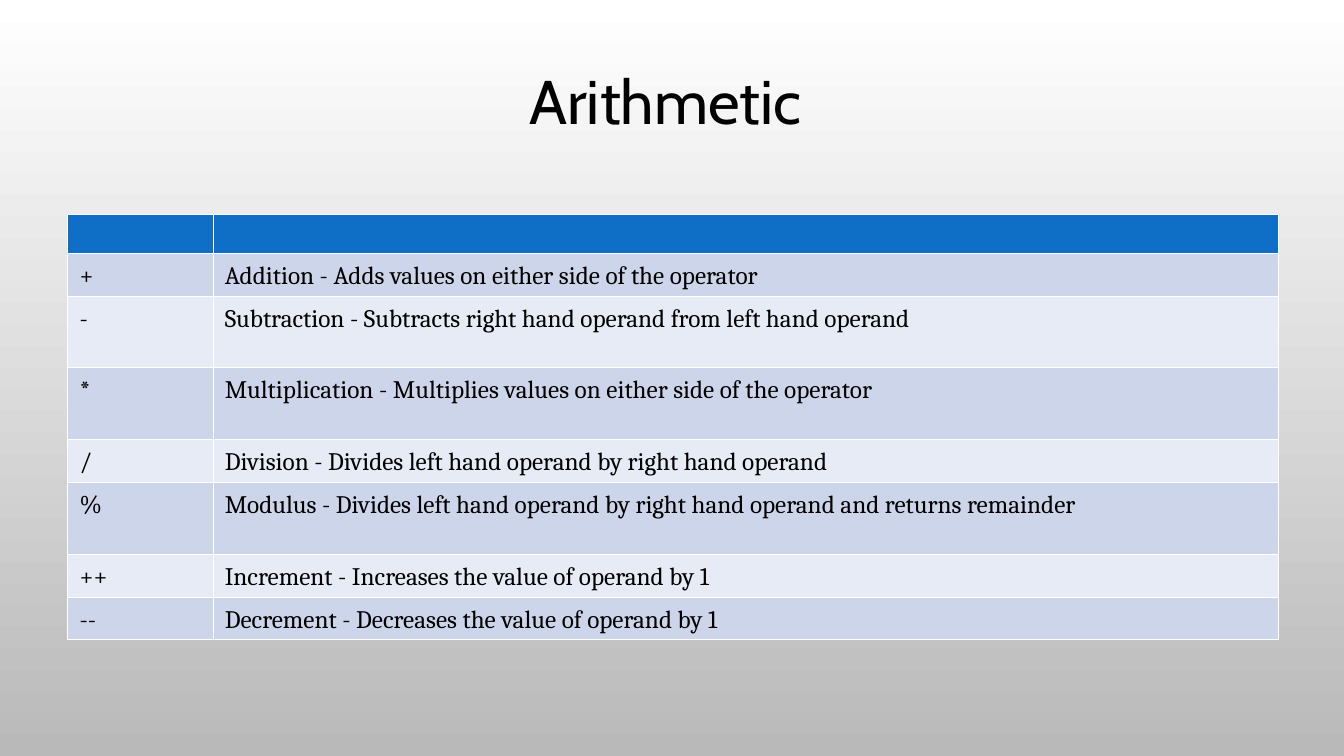
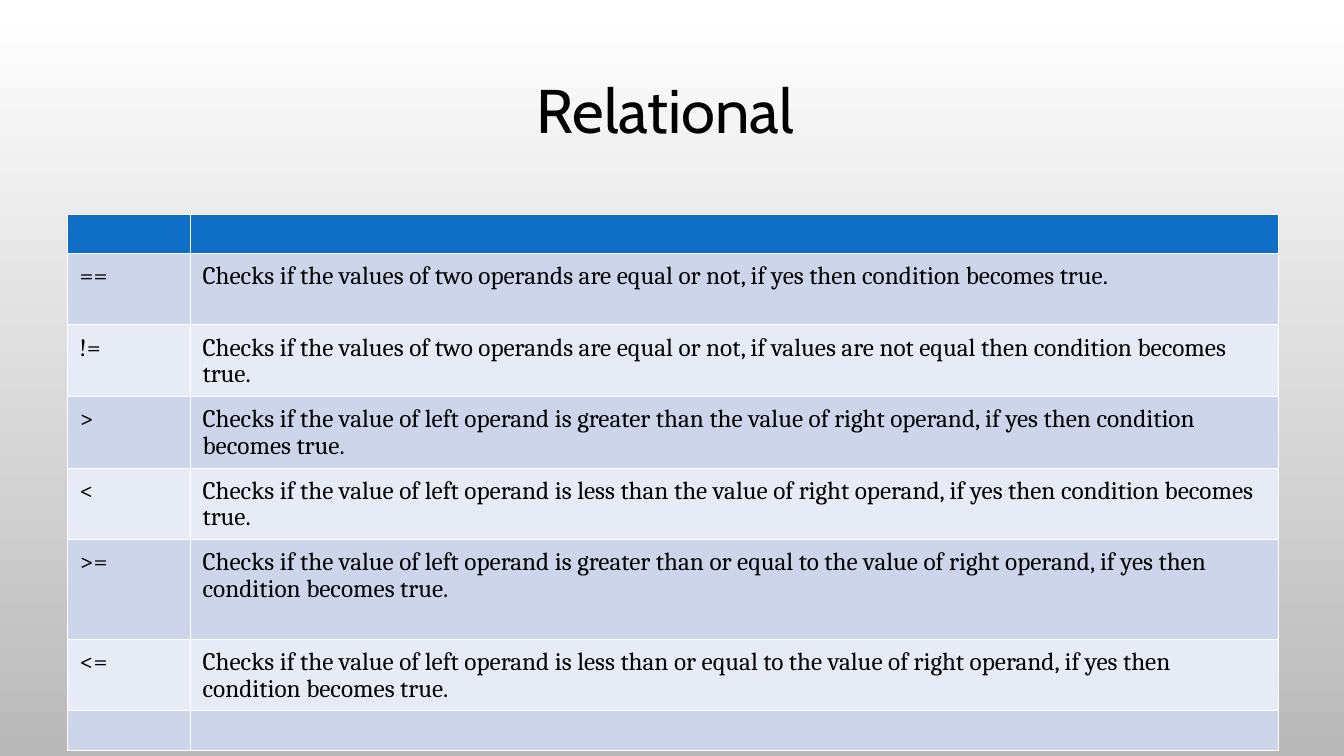
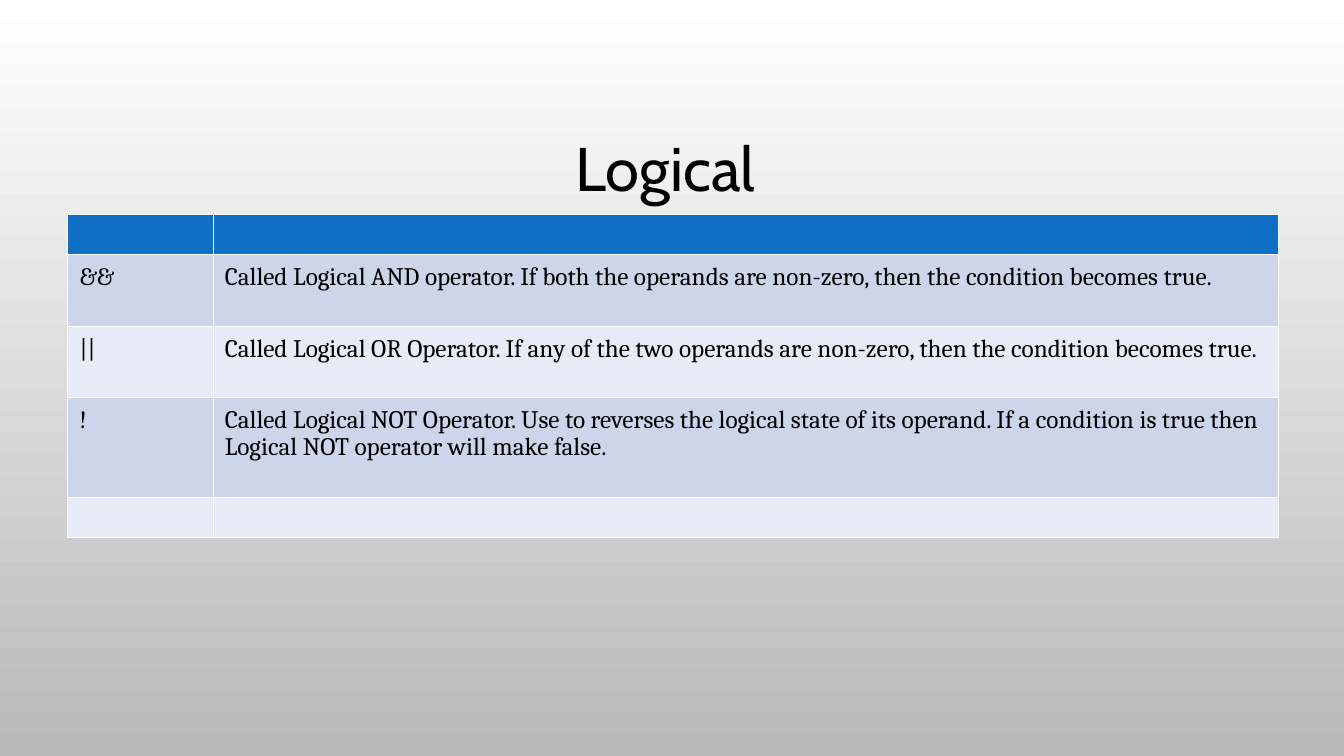
from dataclasses import dataclass

from lxml.etree import SubElement
from pptx import Presentation
from pptx.dml.color import RGBColor
from pptx.enum.text import MSO_ANCHOR, PP_ALIGN
from pptx.oxml.ns import qn
from pptx.presentation import Presentation as Deck
from pptx.slide import Slide
from pptx.table import _Cell as Cell
from pptx.text.text import _Paragraph as Paragraph
from pptx.util import Emu, Pt

EMU_PER_PX = 9144  # 100 px to the inch

BLACK, WHITE, GREY = "000000", "FFFFFF", "B9B9B9"
HEADER_FILL = "0F6FC6"
BAND_FILLS = ("CCD5EA", "E7EBF5")
TITLE_FONT, BODY_FONT = "Cabin", "Cambria"
TITLE_SIZE, BODY_SIZE = 44, 18
THIN, THICK = 0.06, 0.17  # border widths in points

LEFT, CONTENT_WIDTH = 67, 1201
TITLE_TOP, TITLE_WIDTH = 77, 1200
TABLE_TOP = 212
ONE_LINE, TWO_LINES, THREE_LINES = 42, 71, 99


@dataclass(frozen=True)
class Row:
    height: int
    operator: str = ""
    meaning: str = ""


@dataclass(frozen=True)
class OperatorPage:
    title: str
    title_height: int
    operator_width: int
    header_height: int
    rows: tuple[Row, ...]


PAGES = (
    OperatorPage("Arithmetic ", 59, 144, 39, (
        Row(ONE_LINE, "+", "Addition - Adds values on either side of the operator"),
        Row(TWO_LINES, "-", "Subtraction - Subtracts right hand operand from left hand operand"),
        Row(TWO_LINES, "*", "Multiplication - Multiplies values on either side of the operator"),
        Row(ONE_LINE, "/", "Division - Divides left hand operand by right hand operand"),
        Row(TWO_LINES, "%", "Modulus - Divides left hand operand by right hand operand "
                            "and returns remainder"),
        Row(ONE_LINE, "++", "Increment - Increases the value of operand by 1"),
        Row(ONE_LINE, "--", "Decrement - Decreases the value of operand by 1"),
    )),
    OperatorPage("Relational ", 68, 122, 39, (
        Row(TWO_LINES, "==", "Checks if the values of two operands are equal or not, "
                             "if yes then condition becomes true."),
        Row(TWO_LINES, "!=", "Checks if the values of two operands are equal or not, "
                             "if values are not equal then condition becomes true."),
        Row(TWO_LINES, ">", "Checks if the value of left operand is greater than "
                            "the value of right operand, if yes then condition becomes true."),
        Row(TWO_LINES, "<", "Checks if the value of left operand is less than "
                            "the value of right operand, if yes then condition becomes true."),
        Row(THREE_LINES, ">=", "Checks if the value of left operand is greater than or equal to "
                               "the value of right operand, if yes then condition becomes true."),
        Row(TWO_LINES, "<=", "Checks if the value of left operand is less than or equal to "
                             "the value of right operand, if yes then condition becomes true."),
        Row(39),
    )),
    OperatorPage("Logical ", 125, 144, 40, (
        Row(TWO_LINES, "&&", "Called Logical AND operator. If both the operands are non-zero, "
                             "then the condition becomes true."),
        Row(TWO_LINES, "||", "Called Logical OR Operator. If any of the two operands are "
                             "non-zero, then the condition becomes true."),
        Row(THREE_LINES, "!", "Called Logical NOT Operator. Use to reverses the logical state "
                              "of its operand. If a condition is true then Logical NOT operator "
                              "will make false."),
        Row(40),
    )),
)


def px(length: int) -> Emu:
    return Emu(length * EMU_PER_PX)


def color(value: str) -> RGBColor:
    return RGBColor.from_string(value)


def add_span(para: Paragraph, text: str, font: str, size: int) -> None:
    span = para.add_run()
    span.text = text
    span.font.name = font
    span.font.size = Pt(size)
    span.font.color.rgb = color(BLACK)


def set_background(deck: Deck) -> None:
    """Give every page the master's white-to-grey gradient, top to bottom."""
    fill = deck.slide_master.background.fill
    fill.gradient()
    fill.gradient_angle = 270
    for stop, shade in zip(fill.gradient_stops, (WHITE, GREY)):
        stop.color.rgb = color(shade)


def add_title(page: Slide, text: str, height: int) -> None:
    box = page.shapes.add_textbox(px(LEFT), px(TITLE_TOP), px(TITLE_WIDTH), px(height))
    frame = box.text_frame
    frame.word_wrap = True
    frame.vertical_anchor = MSO_ANCHOR.BOTTOM
    frame.margin_left = frame.margin_right = frame.margin_bottom = 0
    frame.margin_top = px(5)
    para = frame.paragraphs[0]
    para.alignment = PP_ALIGN.CENTER
    add_span(para, text, TITLE_FONT, TITLE_SIZE)


def set_borders(cell: Cell, top: float, bottom: float) -> None:
    properties = cell._tc.get_or_add_tcPr()
    for side, width in (("L", THIN), ("R", THIN), ("T", top), ("B", bottom)):
        line = SubElement(properties, qn(f"a:ln{side}"), w=str(Pt(width)))
        fill = SubElement(line, qn("a:solidFill"))
        SubElement(fill, qn("a:srgbClr"), val=WHITE)


def fill_cell(cell: Cell, text: str, row_index: int) -> None:
    """Style one cell; row 0 is the header and the rows below it are banded."""
    set_borders(cell, THICK if row_index == 1 else THIN, THICK if row_index == 0 else THIN)
    cell.fill.solid()
    shade = BAND_FILLS[(row_index - 1) % 2] if row_index else HEADER_FILL
    cell.fill.fore_color.rgb = color(shade)
    cell.margin_left = cell.margin_right = px(12)
    cell.margin_top = px(10 if text else 0)
    cell.margin_bottom = px(5 if text else 0)
    if text:
        para = cell.text_frame.paragraphs[0]
        para.line_spacing = 0.92
        add_span(para, text, BODY_FONT, BODY_SIZE)


def add_operator_table(page: Slide, content: OperatorPage) -> None:
    rows = (Row(content.header_height), *content.rows)
    height = sum(row.height for row in rows)
    table = page.shapes.add_table(
        len(rows), 2, px(LEFT), px(TABLE_TOP), px(CONTENT_WIDTH), px(height)).table
    table.first_row = table.horz_banding = False
    table.columns[0].width = px(content.operator_width)
    table.columns[1].width = px(CONTENT_WIDTH - content.operator_width)
    for row_index, row in enumerate(rows):
        table.rows[row_index].height = px(row.height)
        for column_index, text in enumerate((row.operator, row.meaning)):
            fill_cell(table.cell(row_index, column_index), text, row_index)


def main() -> None:
    deck = Presentation()
    deck.slide_width, deck.slide_height = px(1333), px(750)
    set_background(deck)
    blank = deck.slide_layouts[6]
    for content in PAGES:
        page = deck.slides.add_slide(blank)
        add_title(page, content.title, content.title_height)
        add_operator_table(page, content)
    deck.save("out.pptx")


if __name__ == "__main__":
    main()
